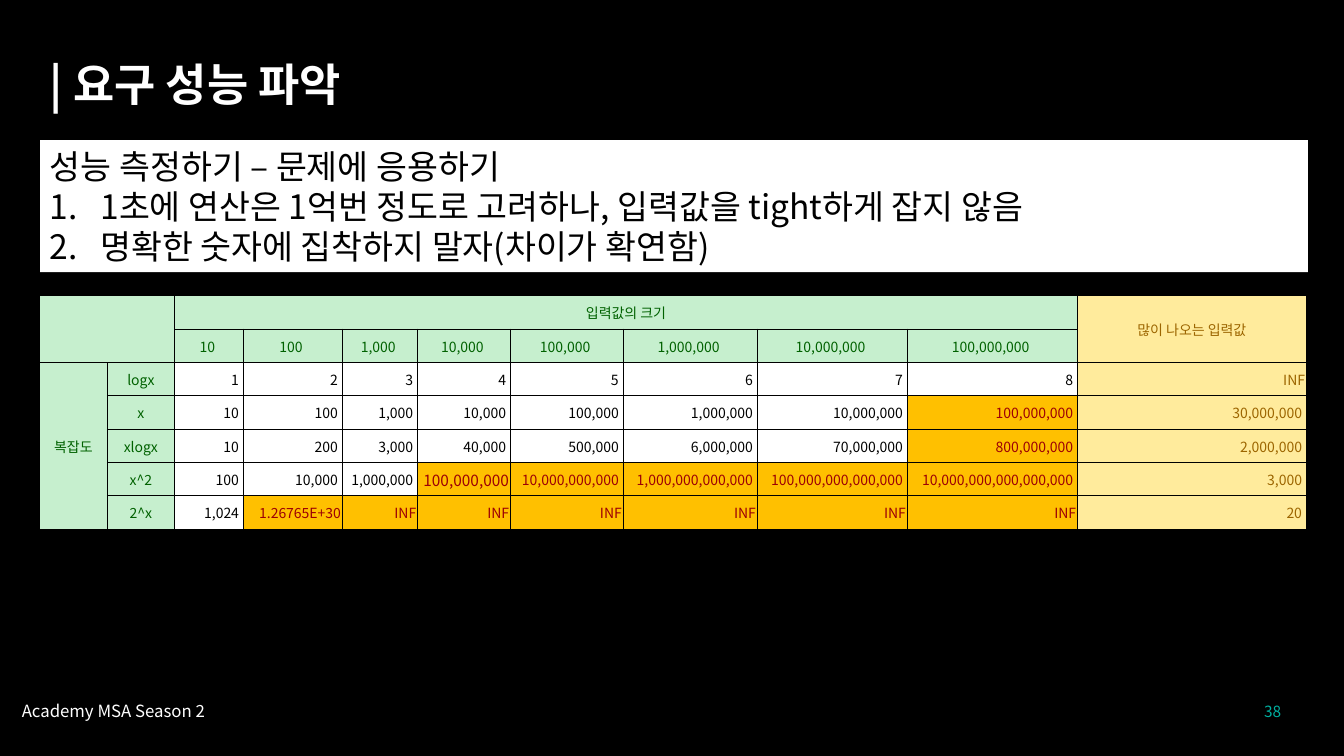
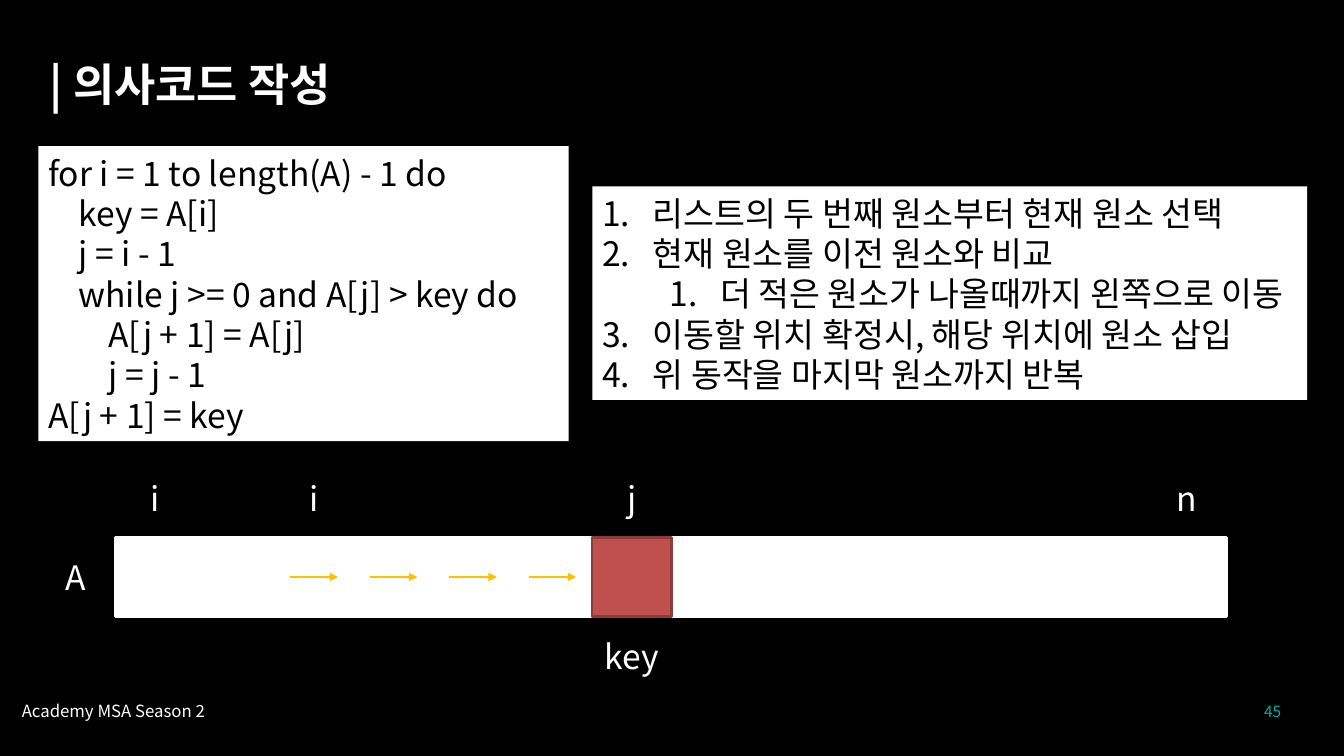
from dataclasses import dataclass

from lxml import etree
from pptx import Presentation
from pptx import util as u
from pptx.dml.color import RGBColor
from pptx.enum import shapes, text
from pptx.oxml import ns


@dataclass(frozen=True)
class Theme:
    font: str = "Noto Sans CJK KR"
    title_size: float = 32
    body_size: float = 24
    footer_size: float = 12
    small_size: float = 11
    table_size: float = 10
    black: str = "000000"
    white: str = "FFFFFF"
    teal: str = "00AFA0"
    amber: str = "FFC000"
    red: str = "C0504D"
    dark_red: str = "8E3B39"
    good: tuple = ("C6EFCE", "006100")
    neutral: tuple = ("FFEB9C", "9C6500")
    over: tuple = ("FFC000", "9C0006")
    plain: tuple = ("FFFFFF", "000000")


THEME = Theme()
ALIGN = text.PP_ALIGN
MIDDLE = text.MSO_ANCHOR.MIDDLE
TOP = text.MSO_ANCHOR.TOP
FOOTER = "Academy MSA Season 2"

COLUMN_WIDTHS = (1.7, 1.7, 1.73, 2.49, 1.9, 2.34, 2.84, 3.38, 3.78, 4.29, 5.77)
ROW_HEIGHT = 0.84
LIMIT = 100_000_000
INPUT_SIZES = [10 ** power for power in range(1, 9)]
COMPLEXITIES = [
    ("logx", [1, 2, 3, 4, 5, 6, 7, 8], "INF"),
    ("x", INPUT_SIZES, 30_000_000),
    ("xlogx", [size * power for power, size in enumerate(INPUT_SIZES, 1)], 2_000_000),
    ("x^2", [100, 10_000, 1_000_000, "100,000,000"]
     + [size ** 2 for size in INPUT_SIZES[4:]], 3_000),
    ("2^x", [1_024, "1.26765E+30"] + ["INF"] * 6, 20),
]

CODE = """for i = 1 to length(A) - 1 do
    key = A[i]
    j = i - 1
    while j >= 0 and A[j] > key do
        A[j + 1] = A[j]
        j = j - 1
A[j + 1] = key"""

CELL = 2
ARRAY_LEFT, ARRAY_TOP, ARRAY_CELLS = 2.92, 13.54, 14
KEY_CELL = 6
ARROW_LENGTH = 1.2


def color(value):
    return RGBColor.from_string(value)


def assign(target, **values):
    for name, value in values.items():
        setattr(target, name, value)


def place(*lengths):
    return [u.Cm(length) for length in lengths]


class Deck:
    """Hold the theme and the current slide, and draw elements on it."""

    def __init__(self, theme):
        self.theme = theme
        self.presentation = Presentation()
        assign(self.presentation, slide_width=u.Cm(33.87), slide_height=u.Cm(19.05))
        fill = self.presentation.slide_master.background.fill
        fill.solid()
        fill.fore_color.rgb = color(theme.black)
        self.slide = None

    def new_slide(self, title, number):
        theme = self.theme
        self.slide = self.presentation.slides.add_slide(self.presentation.slide_layouts[5])
        shape = self.slide.shapes.title
        left, top, width, height = place(1, 0.9, 8.74, 2.03)
        assign(shape, left=left, top=top, width=width, height=height)
        self.compose(shape.text_frame, [title], theme.title_size, theme.white,
                     anchor=TOP, bold=True, spacing=1.3)
        self.label(FOOTER, (0.3, 17.53, 5.33, 0.76), theme.footer_size, theme.white, ALIGN.LEFT)
        self.label(str(number), (30.81, 17.55, 1.73, 0.74), theme.small_size,
                   theme.teal, ALIGN.RIGHT)

    def style(self, paragraph, content, size, ink, align, bold=False):
        paragraph.alignment = align
        run = paragraph.add_run()
        run.text = content
        assign(run.font, size=u.Pt(size), bold=bold, name=self.theme.font)
        run.font.color.rgb = color(ink)
        east_asian = etree.SubElement(run.font._element, ns.qn("a:ea"))
        east_asian.set("typeface", self.theme.font)

    def number(self, paragraph, level):
        paragraph.level = level
        properties = paragraph._p.get_or_add_pPr()
        properties.set("marL", str(u.Cm((1.27, 2.97)[level])))
        properties.set("indent", str(u.Cm(-1.27)))
        etree.SubElement(properties, ns.qn("a:buFont")).set("typeface", "+mj-lt")
        etree.SubElement(properties, ns.qn("a:buAutoNum")).set("type", "arabicPeriod")

    def compose(self, frame, lines, size, ink, align=ALIGN.LEFT, anchor=MIDDLE,
                bold=False, spacing=None):
        assign(frame, word_wrap=True, auto_size=text.MSO_AUTO_SIZE.NONE, vertical_anchor=anchor)
        for index, line in enumerate(lines):
            paragraph = frame.add_paragraph() if index else frame.paragraphs[0]
            if spacing:
                paragraph.line_spacing = spacing
            if isinstance(line, tuple):
                line, level = line
                self.number(paragraph, level)
            self.style(paragraph, line, size, ink, align, bold)

    def label(self, content, box, size, ink, align=ALIGN.CENTER):
        shape = self.slide.shapes.add_textbox(*place(*box))
        self.compose(shape.text_frame, [content], size, ink, align)

    def rectangle(self, box, fill, line=None):
        shape = self.slide.shapes.add_shape(shapes.MSO_SHAPE.RECTANGLE, *place(*box))
        shape.shadow.inherit = False
        shape.fill.solid()
        shape.fill.fore_color.rgb = color(fill)
        if line:
            shape.line.color.rgb = color(line)
            shape.line.width = u.Pt(2)
        else:
            shape.line.fill.background()
        return shape

    def panel(self, box, lines):
        shape = self.rectangle(box, self.theme.white)
        self.compose(shape.text_frame, lines, self.theme.body_size, self.theme.black)

    def arrow(self, left, right, height):
        connector = self.slide.shapes.add_connector(
            shapes.MSO_CONNECTOR.STRAIGHT, *place(left, height, right, height))
        connector.line.color.rgb = color(self.theme.amber)
        connector.line.width = u.Pt(1.5)
        line = connector.line._get_or_add_ln()
        etree.SubElement(line, ns.qn("a:tailEnd")).set("type", "triangle")
        etree.SubElement(connector._element.spPr, ns.qn("a:effectLst"))

    def border(self, cell):
        properties = cell._tc.get_or_add_tcPr()
        for index, side in enumerate(("lnL", "lnR", "lnT", "lnB")):
            line = etree.Element(ns.qn(f"a:{side}"), w=str(u.Pt(0.5)))
            fill = etree.SubElement(line, ns.qn("a:solidFill"))
            etree.SubElement(fill, ns.qn("a:srgbClr")).set("val", self.theme.black)
            properties.insert(index, line)

    def cell(self, cell, value, palette, align, size):
        fill, ink = palette
        cell.fill.solid()
        cell.fill.fore_color.rgb = color(fill)
        self.border(cell)
        edge = u.Cm(0.03)
        assign(cell, margin_left=edge, margin_right=edge, margin_top=edge,
               margin_bottom=0, vertical_anchor=MIDDLE)
        content = f"{value:,} " if isinstance(value, int) else value
        self.style(cell.text_frame.paragraphs[0], content, size, ink, align)

    def table(self, left, top, rows, spans):
        frame = self.slide.shapes.add_table(
            len(rows), len(COLUMN_WIDTHS),
            *place(left, top, sum(COLUMN_WIDTHS), ROW_HEIGHT * len(rows)))
        table = frame.table
        assign(table, first_row=False, horz_banding=False)
        for column, width in zip(table.columns, COLUMN_WIDTHS):
            column.width = u.Cm(width)
        for row, values in zip(table.rows, rows):
            row.height = u.Cm(ROW_HEIGHT)
            for cell, value in zip(row.cells, values):
                self.cell(cell, *value)
        for first, last in spans:
            table.cell(*first).merge(table.cell(*last))


def complexity_rows(theme):
    def header(value, palette=theme.good):
        return value, palette, ALIGN.CENTER, theme.table_size

    def figure(value):
        over = isinstance(value, str) or value >= LIMIT
        size = theme.small_size if value == "100,000,000" else theme.table_size
        return value, theme.over if over else theme.plain, ALIGN.RIGHT, size

    blank = header("")
    rows = [
        [blank, blank, header("입력값의 크기")] + [blank] * 7
        + [header("많이 나오는 입력값", theme.neutral)],
        [blank, blank] + [header(size) for size in INPUT_SIZES] + [header("", theme.neutral)],
    ]
    for index, (name, values, common) in enumerate(COMPLEXITIES):
        rows.append([header("" if index else "복잡도"), header(name)]
                    + [figure(value) for value in values]
                    + [(common, theme.neutral, ALIGN.RIGHT, theme.table_size)])
    return rows


def performance_slide(deck):
    deck.new_slide("| 요구 성능 파악", 38)
    deck.panel((1.01, 3.53, 31.95, 3.33), [
        "성능 측정하기 – 문제에 응용하기",
        ("1초에 연산은 1억번 정도로 고려하나, 입력값을 tight하게 잡지 않음", 0),
        ("명확한 숫자에 집착하지 말자(차이가 확연함)", 0),
    ])
    deck.table(1, 7.45, complexity_rows(deck.theme), [
        ((0, 0), (1, 1)), ((0, 2), (0, 9)), ((0, 10), (1, 10)), ((2, 0), (6, 0))])


def pseudocode_slide(deck):
    theme = deck.theme
    deck.new_slide("| 의사코드 작성", 45)
    deck.panel((0.97, 3.68, 13.36, 7.44), CODE.splitlines())
    deck.panel((14.93, 4.7, 18.01, 5.38), [
        ("리스트의 두 번째 원소부터 현재 원소 선택", 0),
        ("현재 원소를 이전 원소와 비교", 0),
        ("더 적은 원소가 나올때까지 왼쪽으로 이동", 1),
        ("이동할 위치 확정시, 해당 위치에 원소 삽입", 0),
        ("위 동작을 마지막 원소까지 반복", 0),
    ])

    def cell_box(column, row=0, columns=1):
        return (ARRAY_LEFT + CELL * column, ARRAY_TOP + CELL * row, CELL * columns, CELL)

    deck.rectangle(cell_box(0, columns=ARRAY_CELLS), theme.white, theme.white)
    deck.rectangle(cell_box(KEY_CELL), theme.red, theme.dark_red)
    labels = [("A", -1, 0), ("key", KEY_CELL, 1), ("i", 0, -1), ("i", 2, -1),
              ("j", KEY_CELL, -1), ("n", ARRAY_CELLS - 1, -1)]
    for name, column, row in labels:
        deck.label(name, cell_box(column, row), theme.body_size, theme.white)
    for column in range(2, KEY_CELL):
        left = cell_box(column)[0] + (CELL - ARROW_LENGTH) / 2
        deck.arrow(left, left + ARROW_LENGTH, ARRAY_TOP + CELL / 2)


def main():
    deck = Deck(THEME)
    performance_slide(deck)
    pseudocode_slide(deck)
    deck.presentation.save("out.pptx")


if __name__ == "__main__":
    main()
